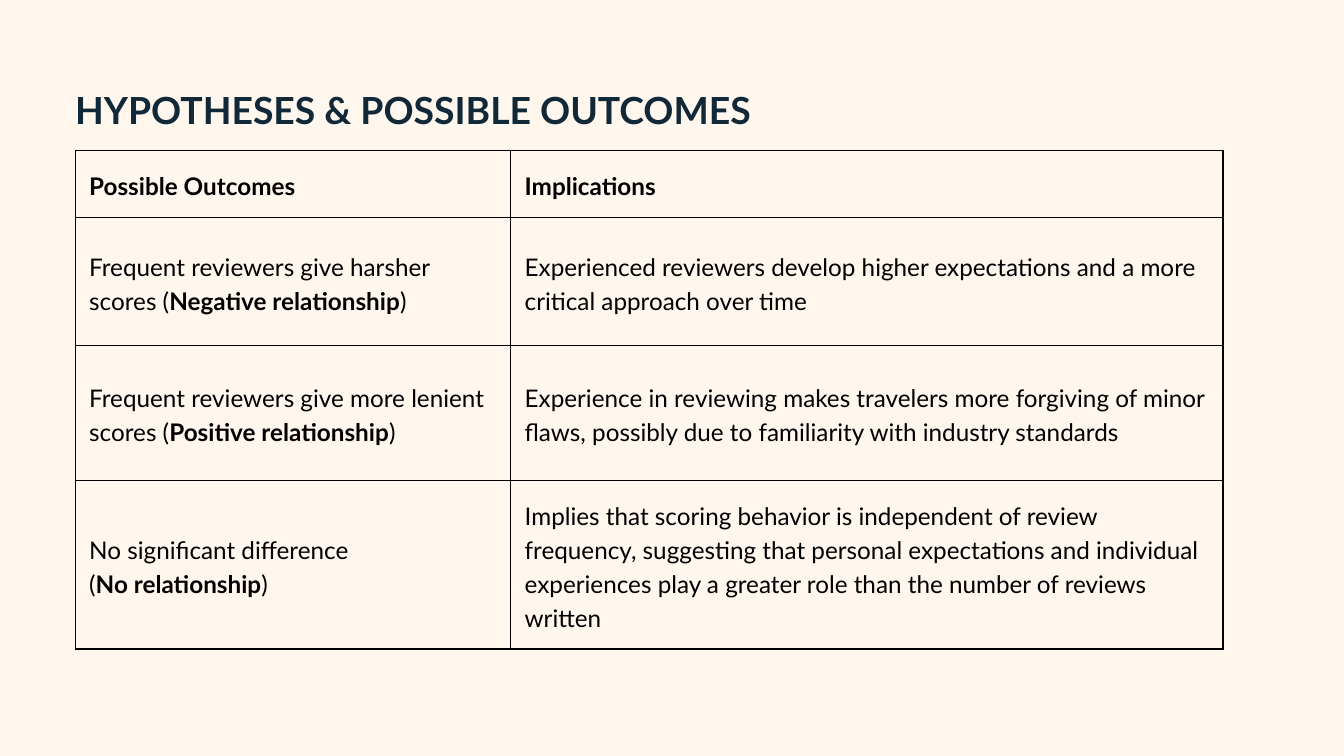
from dataclasses import dataclass
from lxml.etree import SubElement as Sub
from pptx import Presentation
from pptx.dml.color import RGBColor as RGB
from pptx.enum.text import MSO_ANCHOR as Anchor, PP_ALIGN as Align
from pptx.oxml.ns import qn
from pptx.util import Pt

# Content: asterisks enclose bold words, each line is a paragraph
TITLE = "HYPOTHESES & POSSIBLE OUTCOMES"
ROWS = [
    ("*Possible Outcomes*", "*Implications*"),
    ("Frequent reviewers give harsher scores (*Negative relationship*)",
     "Experienced reviewers develop higher expectations and a more "
     "critical approach over time"),
    ("Frequent reviewers give more lenient scores (*Positive relationship*)",
     "Experience in reviewing makes travelers more forgiving of minor "
     "flaws, possibly due to familiarity with industry standards"),
    ("No significant difference\n(*No relationship*)",
     "Implies that scoring behavior is independent of review frequency, "
     "suggesting that personal expectations and individual experiences "
     "play a greater role than the number of reviews written"),
]

# Layout in points
LEFT = 80.6
HEAD = (LEFT, 99.4, 1135.4, 43.9)
TOP = 161.3
WIDTHS = (466.6, 763.2)
HEIGHTS = (72, 136.8, 144.7, 180.7)
INSET = 15


@dataclass
class Theme:
    font: str = "Lato"
    back: str = "FFF6EE"
    head: str = "112838"
    ink: str = "000000"
    title: float = 40
    body: float = 26
    lead: float = 42.4
    step: float = 36.4
    rule: float = 1.5


theme = Theme()


def style(para, size, color, step):
    para.alignment = Align.LEFT
    para.line_spacing = Pt(step)
    font = para.font
    font.name, font.size = theme.font, Pt(size)
    font.color.rgb = RGB.from_string(color)


def border(cell):
    props = cell._tc.get_or_add_tcPr()
    for side in ("lnL", "lnR", "lnT", "lnB"):
        line = Sub(props, qn(f"a:{side}"), w=str(Pt(theme.rule)))
        fill = Sub(line, qn("a:solidFill"))
        Sub(fill, qn("a:srgbClr"), val=theme.ink)


def write(cell, text):
    frame = cell.text_frame
    for i, line in enumerate(text.split("\n")):
        para = frame.add_paragraph() if i else frame.paragraphs[0]
        style(para, theme.body, theme.ink, theme.step)
        for j, part in enumerate(line.split("*")):
            if part:
                run = para.add_run()
                run.text, run.font.bold = part, j % 2 == 1


# Slide
prs = Presentation()
prs.slide_width, prs.slide_height = Pt(1440), Pt(810)
slide = prs.slides.add_slide(prs.slide_layouts[5])
fill = slide.background.fill
fill.solid()
fill.fore_color.rgb = RGB.from_string(theme.back)

# Title
head = slide.shapes.title
head.left, head.top, head.width, head.height = map(Pt, HEAD)
frame = head.text_frame
frame.text = TITLE
frame.word_wrap = True
frame.vertical_anchor = Anchor.TOP
frame.margin_left = frame.margin_right = 0
frame.margin_top = frame.margin_bottom = 0
style(frame.paragraphs[0], theme.title, theme.head, theme.lead)
frame.paragraphs[0].font.bold = True

# Table
table = slide.shapes.add_table(
    len(ROWS), len(WIDTHS), Pt(LEFT), Pt(TOP),
    Pt(sum(WIDTHS)), Pt(sum(HEIGHTS))).table
table.first_row = table.horz_banding = False
for col, width in zip(table.columns, WIDTHS):
    col.width = Pt(width)
for row, height, texts in zip(table.rows, HEIGHTS, ROWS):
    row.height = Pt(height)
    for cell, text in zip(row.cells, texts):
        cell.vertical_anchor = Anchor.MIDDLE
        cell.margin_left = cell.margin_right = Pt(INSET)
        cell.margin_top = cell.margin_bottom = Pt(INSET)
        border(cell)
        cell.fill.background()
        write(cell, text)

prs.save("out.pptx")
